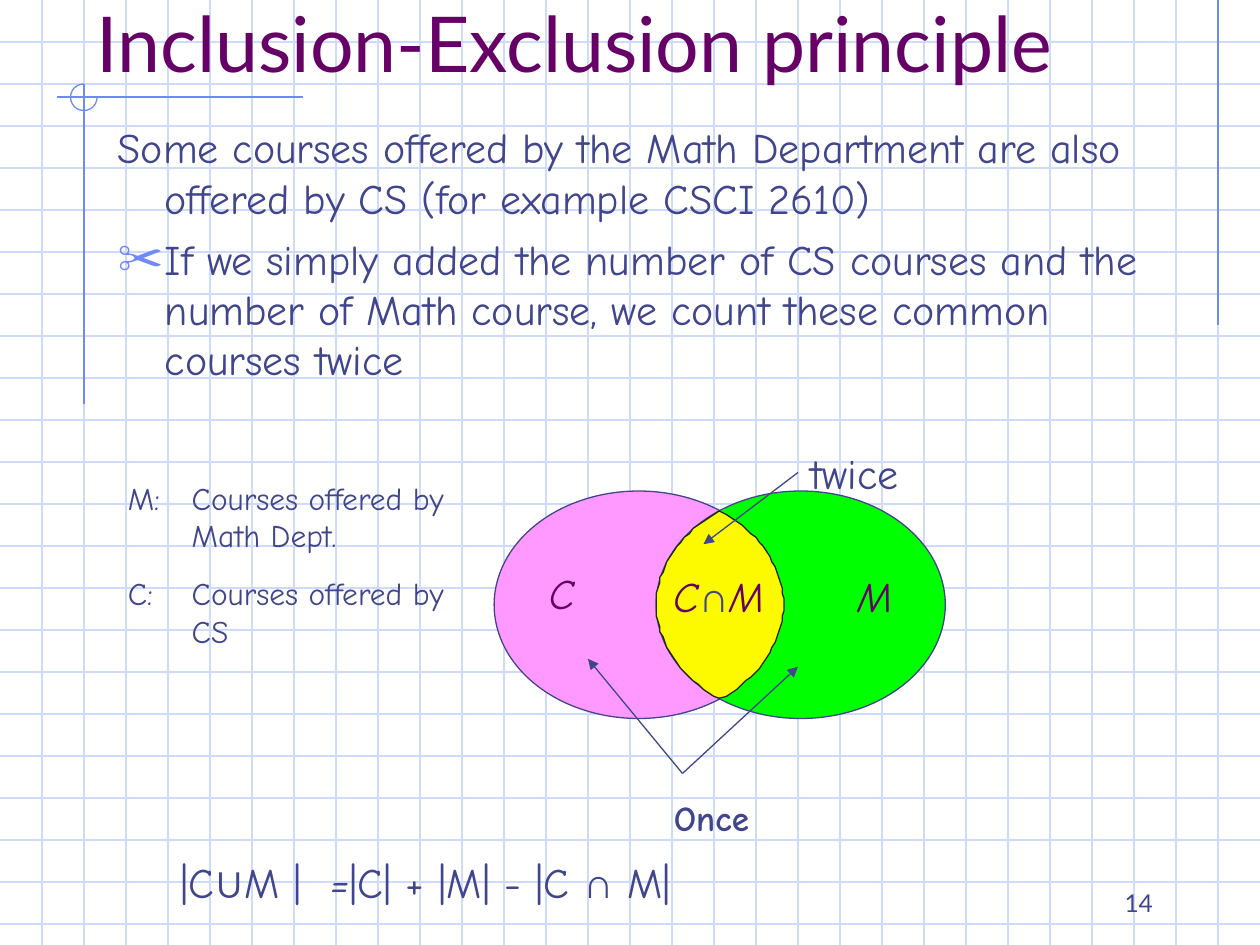
from math import acos, cos, sin

from lxml.etree import SubElement
from pptx import Presentation
from pptx.dml.color import RGBColor
from pptx.enum.shapes import MSO_CONNECTOR, MSO_SHAPE
from pptx.enum.text import MSO_ANCHOR, MSO_AUTO_SIZE, PP_ALIGN
from pptx.oxml.ns import qn
from pptx.util import Pt

COLORS = {
    "grid": "CFDBFD",
    "accent": "6F89F7",
    "text": "40458C",
    "title": "660066",
    "cs": "FF99FF",
    "math": "00FF00",
    "both": "FDFA00",
    "lens_line": "25221E",
}
HAND = "Comic Neue"


def write_text(frame, paragraphs, size=24, font=HAND, color="text", bold=False, italic=False,
               align=PP_ALIGN.LEFT, anchor=MSO_ANCHOR.TOP, wrap=True, space=0, hang=0, bullets=()):
    frame.word_wrap = wrap
    frame.auto_size = MSO_AUTO_SIZE.NONE
    frame.vertical_anchor = anchor
    for index, runs in enumerate(paragraphs):
        paragraph = frame.paragraphs[0] if index == 0 else frame.add_paragraph()
        properties = paragraph._p.get_or_add_pPr()
        properties.set("marL", str(Pt(hang)))
        properties.set("indent", str(Pt(-hang)))
        if index in bullets:
            bullet_color = SubElement(properties, qn("a:buClr"))
            SubElement(bullet_color, qn("a:srgbClr"), val=COLORS["accent"])
            SubElement(properties, qn("a:buSzPct"), val="110000")
            SubElement(properties, qn("a:buChar"), char="✂")
        else:
            SubElement(properties, qn("a:buNone"))
        paragraph.alignment = align
        paragraph.space_before = Pt(space if index else 0)
        for text, changes in [(runs, {})] if isinstance(runs, str) else runs:
            run = paragraph.add_run()
            run.text = text
            run.font.name = changes.get("font", font)
            run.font.size = Pt(size)
            run.font.bold = bold
            run.font.italic = changes.get("italic", italic)
            run.font.color.rgb = RGBColor.from_string(COLORS[changes.get("color", color)])


def add_line(start, end, color, arrow=False):
    line = slide.shapes.add_connector(MSO_CONNECTOR.STRAIGHT, *map(Pt, (*start, *end)))
    line.line.color.rgb = RGBColor.from_string(COLORS[color])
    line.line.width = Pt(0.75)
    if arrow:
        SubElement(line.line._get_or_add_ln(), qn("a:tailEnd"), type="triangle")
    SubElement(line._element.spPr, qn("a:effectLst"))


presentation = Presentation()
presentation.slide_width, presentation.slide_height = Pt(720), Pt(540)
slide = presentation.slides.add_slide(presentation.slide_layouts[1])

for row in range(1, 23):
    add_line((0, row * 24), (720, row * 24), "grid")
for column in range(1, 30):
    add_line((column * 24, 0), (column * 24, 540), "grid")

add_line((696, 0), (696, 186), "accent")
add_line((173, 55.5), (32.5, 55.5), "accent")
add_line((48, 48), (48, 231), "accent")
pin = slide.shapes.add_shape(MSO_SHAPE.ARC, Pt(40.3), Pt(48), Pt(15.2), Pt(15.2))
pin.adjustments[0], pin.adjustments[1] = 0, 162
pin.shadow.inherit = False
pin.fill.background()
pin.line.color.rgb = RGBColor.from_string(COLORS["accent"])
pin.line.width = Pt(0.75)

title, body = slide.placeholders
for placeholder, box in ((title, (48, 6, 648, 48)), (body, (60, 66, 618, 426))):
    placeholder.left, placeholder.top, placeholder.width, placeholder.height = map(Pt, box)
    slide.shapes.element.append(placeholder.element)
write_text(title.text_frame, ["Inclusion-Exclusion principle"], size=44, font="Lato",
           color="title", anchor=MSO_ANCHOR.BOTTOM)
write_text(body.text_frame, [
    "Some courses offered by the Math Department are also offered by CS (for example CSCI 2610)",
    "If we simply added the number of CS courses and the number of Math course, "
    "we count these common courses twice",
], space=6, hang=27, bullets=(1,))

cs_x, math_x, center_y = 365, 457.6, 345.6
radius_x, radius_y = 82.6, 65
venn_parts = []
for center_x, color in ((cs_x, "cs"), (math_x, "math")):
    ellipse = slide.shapes.add_shape(
        MSO_SHAPE.OVAL, Pt(center_x - radius_x), Pt(center_y - radius_y),
        Pt(2 * radius_x), Pt(2 * radius_y))
    venn_parts.append((ellipse, color, "text"))

half_angle = acos((math_x - cs_x) / 2 / radius_x)
steps = 40
angles = [half_angle * (2 * step / steps - 1) for step in range(steps + 1)]
outline = [(center_x + side * radius_x * cos(angle), center_y + side * radius_y * sin(angle))
           for center_x, side in ((cs_x, 1), (math_x, -1)) for angle in angles]
builder = slide.shapes.build_freeform(*outline[0], scale=Pt(1))
builder.add_line_segments(outline[1:], close=True)
venn_parts.append((builder.convert_to_shape(), "both", "lens_line"))

for shape, fill, line in venn_parts:
    shape.shadow.inherit = False
    shape.fill.solid()
    shape.fill.fore_color.rgb = RGBColor.from_string(COLORS[fill])
    shape.line.color.rgb = RGBColor.from_string(COLORS[line])
    shape.line.width = Pt(0)

for start, end in (((390, 442), (336, 376.5)), ((390, 442), (456, 381)), ((456, 270), (402, 311))):
    add_line(start, end, "text", arrow=True)

symbol = {"font": "Arial", "color": "text", "italic": False}
venn_label = {"color": "title", "italic": True, "align": PP_ALIGN.CENTER,
              "anchor": MSO_ANCHOR.BOTTOM, "wrap": False}
labels = [
    ((306.5, 320.5, 29, 36), ["C"], venn_label),
    ((476.5, 322.5, 47, 36), ["M"], venn_label),
    ((376.5, 322.5, 68.5, 36), [[("C", {}), ("∩", symbol), ("M", {})]], venn_label),
    ((378, 451.5, 264, 32), ["Once"], {"size": 20, "bold": True}),
    ((456, 252, 102, 36), ["twice"], {}),
    ((96, 486, 528, 36), [[("|C", {}), ("∪", symbol), ("M |", {}), ("  =", {"italic": True}),
                           ("|C| + |M| - |C ", {}), ("∩", symbol), (" M|", {})]], {}),
    ((66, 270, 210, 105), ["M:\tCourses offered by Math Dept.", "C:\tCourses offered by CS"],
     {"size": 18, "space": 11.2, "hang": 36.5}),
    ((516, 510, 150, 18), ["14"], {"size": 14, "font": "Lato", "align": PP_ALIGN.RIGHT,
                                   "anchor": MSO_ANCHOR.BOTTOM}),
]
for box, paragraphs, style in labels:
    label = slide.shapes.add_textbox(*map(Pt, box))
    write_text(label.text_frame, paragraphs, **style)

presentation.save("out.pptx")
